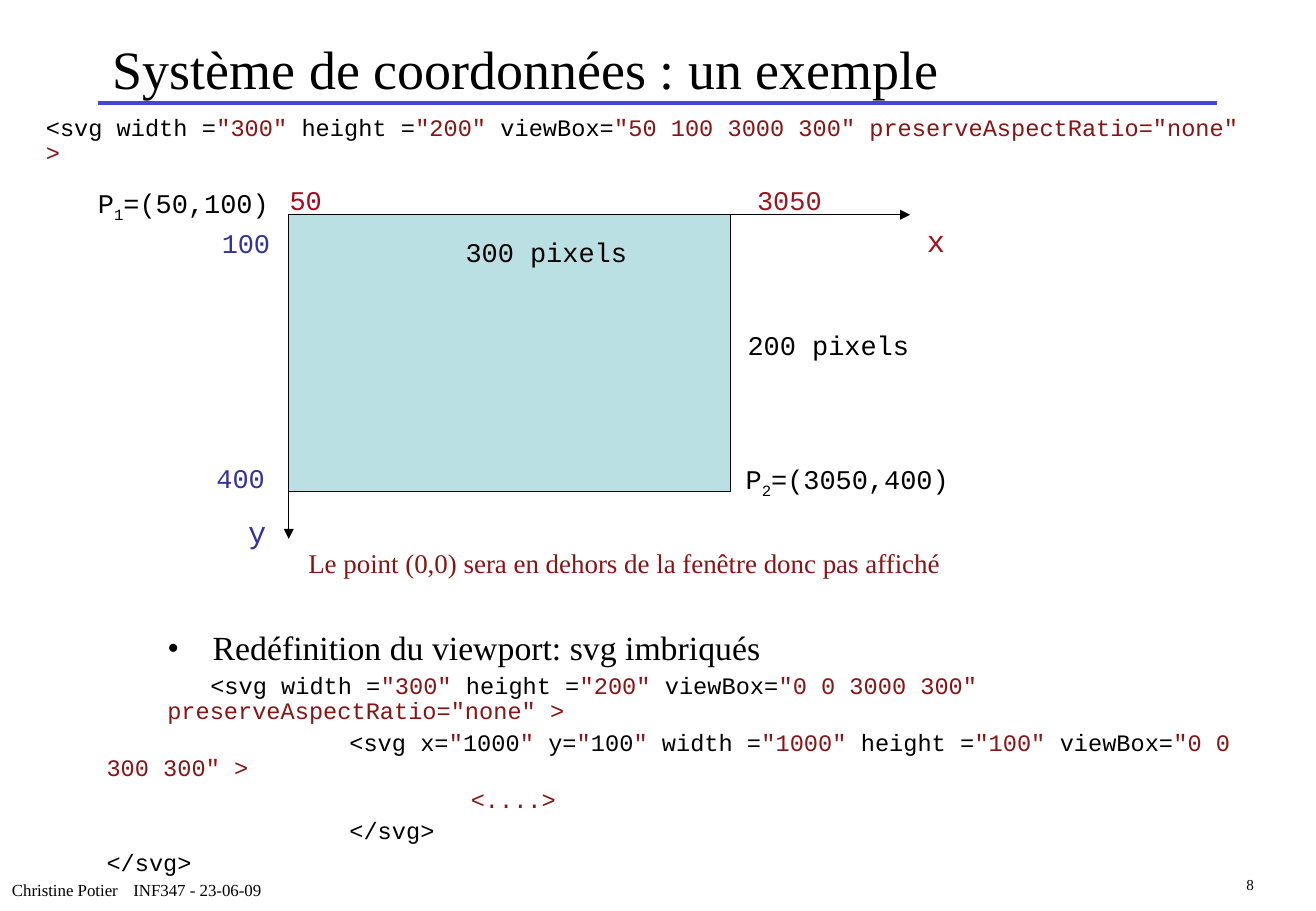
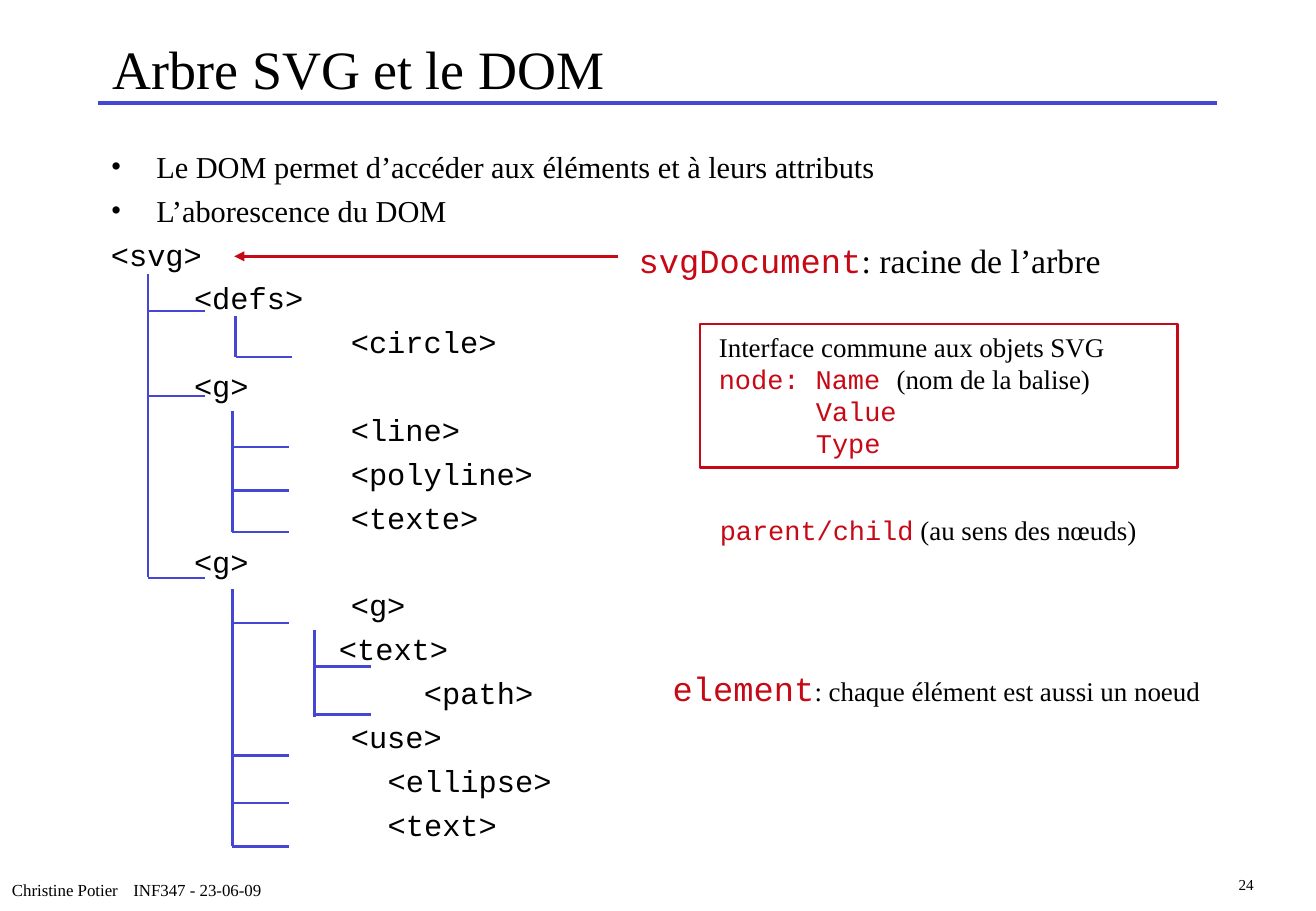
from dataclasses import dataclass
from itertools import cycle

from lxml import etree
from pptx import Presentation
from pptx.dml.color import RGBColor
from pptx.enum.shapes import MSO_CONNECTOR, MSO_SHAPE
from pptx.enum.text import MSO_ANCHOR, PP_ALIGN
from pptx.oxml.ns import qn
from pptx.util import Cm, Pt

LEFT, RIGHT = PP_ALIGN.LEFT, PP_ALIGN.RIGHT
TOP, MIDDLE = MSO_ANCHOR.TOP, MSO_ANCHOR.MIDDLE
RECT, STRAIGHT = MSO_SHAPE.RECTANGLE, MSO_CONNECTOR.STRAIGHT


@dataclass(frozen=True)
class Theme:
    black: str = "000000"
    blue: str = "4646D4"
    navy: str = "333399"
    aqua: str = "BBE0E3"
    wine: str = "891315"
    brick: str = "9D161F"
    ruby: str = "AB041C"
    red: str = "C70916"
    serif: str = "Times New Roman"
    mono: str = "Courier New"
    title: float = 32
    head: float = 20
    body: float = 18
    label: float = 16
    code: float = 14
    foot: float = 10
    page: float = 9


T = Theme()


@dataclass
class Run:
    text: str
    size: float = T.label
    color: str = T.black
    font: str = T.serif
    base: int = 0


@dataclass
class Para:
    runs: list
    margin: float = 0
    indent: float = 0
    before: float = 0
    line: object = None
    bullet: bool = False
    tab: float = 0
    align: int = LEFT


def mono(text, size=T.label, color=T.black, base=0):
    return Run(text, size, color, T.mono, base)


def code(text, colors=(T.black, T.wine)):
    """Runs parted by bars take the colours in turn."""
    return [mono(part, T.code, color)
            for part, color in zip(text.split("|"), cycle(colors)) if part]


# ---- Basic parts ----

def fill_para(par, data):
    props = par._p.get_or_add_pPr()
    props.set("marL", str(Cm(data.margin)))
    props.set("indent", str(Cm(data.indent)))
    if data.bullet:
        etree.SubElement(props, qn("a:buFont"), typeface=T.serif)
        etree.SubElement(props, qn("a:buChar"), char="•")
    else:
        etree.SubElement(props, qn("a:buNone"))
    if data.tab:
        tabs = etree.SubElement(props, qn("a:tabLst"))
        etree.SubElement(tabs, qn("a:tab"), pos=str(Cm(data.tab)), algn="l")
    par.alignment = data.align
    par.space_before = Pt(data.before)
    if data.line:
        par.line_spacing = data.line
    for item in data.runs:
        run = par.add_run()
        run.text = item.text
        run.font.size = Pt(item.size)
        run.font.name = item.font
        run.font.color.rgb = RGBColor.from_string(item.color)
        if item.base:
            run._r.get_or_add_rPr().set("baseline", str(item.base))


def add_text(slide, box, paras, anchor=TOP):
    frame = slide.shapes.add_textbox(*map(Cm, box)).text_frame
    frame.word_wrap = True
    frame.vertical_anchor = anchor
    frame.margin_left = frame.margin_right = Cm(0.25)
    frame.margin_top = frame.margin_bottom = Cm(0.13)
    for n, data in enumerate(paras):
        fill_para(frame.add_paragraph() if n else frame.paragraphs[0], data)


def add_label(slide, x, y, width, *runs):
    add_text(slide, (x, y, width, 1), [Para(runs)])


def add_line(slide, start, end, color, width, arrow=False):
    line = slide.shapes.add_connector(STRAIGHT, *map(Cm, (*start, *end)))
    line.line.color.rgb = RGBColor.from_string(color)
    line.line.width = Pt(width)
    if arrow:
        etree.SubElement(line.line._get_or_add_ln(), qn("a:tailEnd"),
                         type="triangle")
    etree.SubElement(line._element.spPr, qn("a:effectLst"))


def add_rect(slide, box, color, width, fill=None):
    rect = slide.shapes.add_shape(RECT, *map(Cm, box))
    rect.shadow.inherit = False
    rect.line.color.rgb = RGBColor.from_string(color)
    rect.line.width = Pt(width)
    if fill:
        rect.fill.solid()
        rect.fill.fore_color.rgb = RGBColor.from_string(fill)
    else:
        rect.fill.background()


# ---- Shared frame: rule, title, footer, page number ----

def new_slide(deck, title, page):
    slide = deck.slides.add_slide(deck.slide_layouts[6])
    add_line(slide, (2.06, 2.16), (25.45, 2.16), T.blue, 2.25)
    add_text(slide, (2.11, 0.58, 23.4, 1.7), [Para([Run(title, T.title)])],
             MIDDLE)
    add_text(slide, (0, 18.26, 8.03, 0.79),
             [Para([Run("Christine Potier\tINF347 - 23-06-09", T.foot)],
                   tab=2.75)])
    add_text(slide, (20.18, 18.17, 6.3, 0.88),
             [Para([Run(page, T.page)], align=RIGHT)])
    return slide


# ---- Coordinate example ----

def add_axes(slide, box):
    x, y, w, h = box
    add_rect(slide, box, T.black, 0.75, T.aqua)
    add_line(slide, (x + 2.41, y), (x + 13, y), T.black, 0.75, True)
    add_line(slide, (x, y + 1.85), (x, y + h + 0.99), T.black, 0.75, True)
    labels = (
        (13.1, 0.02, 1.2, "x", T.body, T.brick),
        (-1.65, 0.12, 2, "100", T.label, T.navy),
        (-0.23, -0.79, 2, "50", T.label, T.ruby),
        (w + 0.3, -0.79, 2.5, "3050", T.label, T.brick),
        (-1.76, h - 0.76, 2, "400", T.label, T.navy),
        (-1.1, h + 0.33, 1.2, "y", T.body, T.navy),
        (w + 0.1, 2.26, 4.5, "200 pixels", T.label, T.black),
        (3.45, 0.3, 4.5, "300 pixels", T.label, T.black),
    )
    for dx, dy, width, text, size, color in labels:
        add_label(slide, x + dx, y + dy, width, mono(text, size, color))
    points = ((-4.24, -0.71, "1", "=(50,100)"),
              (w + 0.06, h - 0.74, "2", "=(3050,400)"))
    for dx, dy, index, value in points:
        add_label(slide, x + dx, y + dy, 5.5, mono("P"),
                  mono(index, base=-25000), mono(value))
    add_label(slide, x + 0.16, y + h + 1.01, 16,
              Run("Le point (0,0) sera en dehors de la fenêtre donc pas affiché",
                  color=T.wine))


def add_nested(slide, box):
    rows = (
        (2.54, 0.9, '<svg width =|"300"| height =|"200"| viewBox=|'
                    '"0 0 3000 300" preserveAspectRatio="none" >'),
        (1.27, 5.08, '<svg x=|"|1000|"| y=|"|100|"| width =|"1000"| height =|'
                     '"100"| viewBox=|"0 0 300 300" >'),
        (1.27, 7.62, "|<....>"),
        (1.27, 5.08, "</svg>"),
        (1.27, 0, "</svg>"),
    )
    paras = [Para([Run("Redéfinition du viewport: svg imbriqués", T.head)],
                  3.49, -0.95, 0, 0.9, True)]
    paras += [Para(code(text), margin, indent, 3.5, 0.9)
              for margin, indent, text in rows]
    add_text(slide, box, paras)


def coord_slide(deck):
    slide = new_slide(deck, "Système de coordonnées : un exemple", "8")
    add_text(slide, (0.71, 2.29, 25.95, 1.3), [Para(code(
        '<svg width =|"300"| height =|"200"| viewBox=|'
        '"50 100 3000 300" preserveAspectRatio="none" >'), line=0.9)])
    add_axes(slide, (6.04, 4.49, 9.25, 5.79))
    add_nested(slide, (0.71, 13.08, 26, 5.2))


# ---- Document tree ----

def add_outline(slide, box):
    bullets = ("Le DOM permet d’accéder aux éléments et à leurs attributs",
               "L’aborescence du DOM")
    tags = ((0, "<svg>"), (1.74, "<defs>"), (5.02, "<circle>"), (1.74, "<g>"),
            (5.02, "<line>"), (5.02, "<polyline>"), (5.02, "<texte>"),
            (1.74, "<g>"), (5.02, "<g>"), (4.77, "<text>"), (6.55, "<path>"),
            (5.02, "<use>"), (5.79, "<ellipse>"), (5.79, "<text>"))
    paras = [Para([Run(text, T.body)], 0.95, -0.95, 4.5 if n else 0,
                  Pt(21.5), True) for n, text in enumerate(bullets)]
    paras += [Para([mono(tag, T.body)], margin, 0, 4.5, Pt(21.5))
              for margin, tag in tags]
    add_text(slide, box, paras)


def add_tree(slide, x, y):
    # Each stem: offset, top, bottom, heights of its branches
    stems = (
        (0, 0, 6.35, (0.78, 2.56, 6.37)),
        (1.83, 0.88, 1.75, (1.75,)),
        (1.76, 2.87, 5.41, (3.63, 4.54, 5.41)),
        (1.76, 6.6, 11.98, (7.31, 10.08, 11.07, 11.98)),
        (3.48, 7.46, 9.27, (8.22, 9.22)),
    )
    for dx, top, end, limbs in stems:
        stem = x + dx
        add_line(slide, (stem, y + top), (stem, y + end), T.blue, 1.5)
        for limb in limbs:
            add_line(slide, (stem, y + limb), (stem + 1.18, y + limb),
                     T.blue, 1.5)


def add_panel(slide, box):
    x, y, w, h = box
    rows = ([Run("Interface commune aux objets SVG")],
            [mono("node: Name ", color=T.red), Run("(nom de la balise)")],
            [mono("Value", color=T.red)],
            [mono("Type", color=T.red)])
    add_text(slide, (x + 0.15, y, w, h),
             [Para(runs, margin=2.03 if n > 1 else 0, line=Pt(19))
              for n, runs in enumerate(rows)])
    add_rect(slide, box, T.red, 1.5)


def tree_slide(deck):
    slide = new_slide(deck, "Arbre SVG et le DOM", "24")
    add_outline(slide, (2.07, 2.97, 24.18, 15.32))
    add_tree(slide, 3.1, 5.72)
    add_label(slide, 13.82, 13.84, 13, mono("element", T.head, T.red),
              Run(": chaque élément est aussi un noeud"))
    add_label(slide, 13.11, 4.88, 12, mono("svgDocument", T.head, T.red),
              Run(": racine de l’arbre", T.head))
    add_panel(slide, (14.64, 6.78, 10, 3))
    add_label(slide, 14.81, 10.6, 11, mono("parent/child", color=T.red),
              Run(" (au sens des nœuds)"))
    add_line(slide, (12.93, 5.36), (4.9, 5.36), T.red, 1.5, True)


def main():
    deck = Presentation()
    deck.slide_width, deck.slide_height = Cm(27.53), Cm(19.05)
    coord_slide(deck)
    tree_slide(deck)
    deck.save("out.pptx")


if __name__ == "__main__":
    main()
